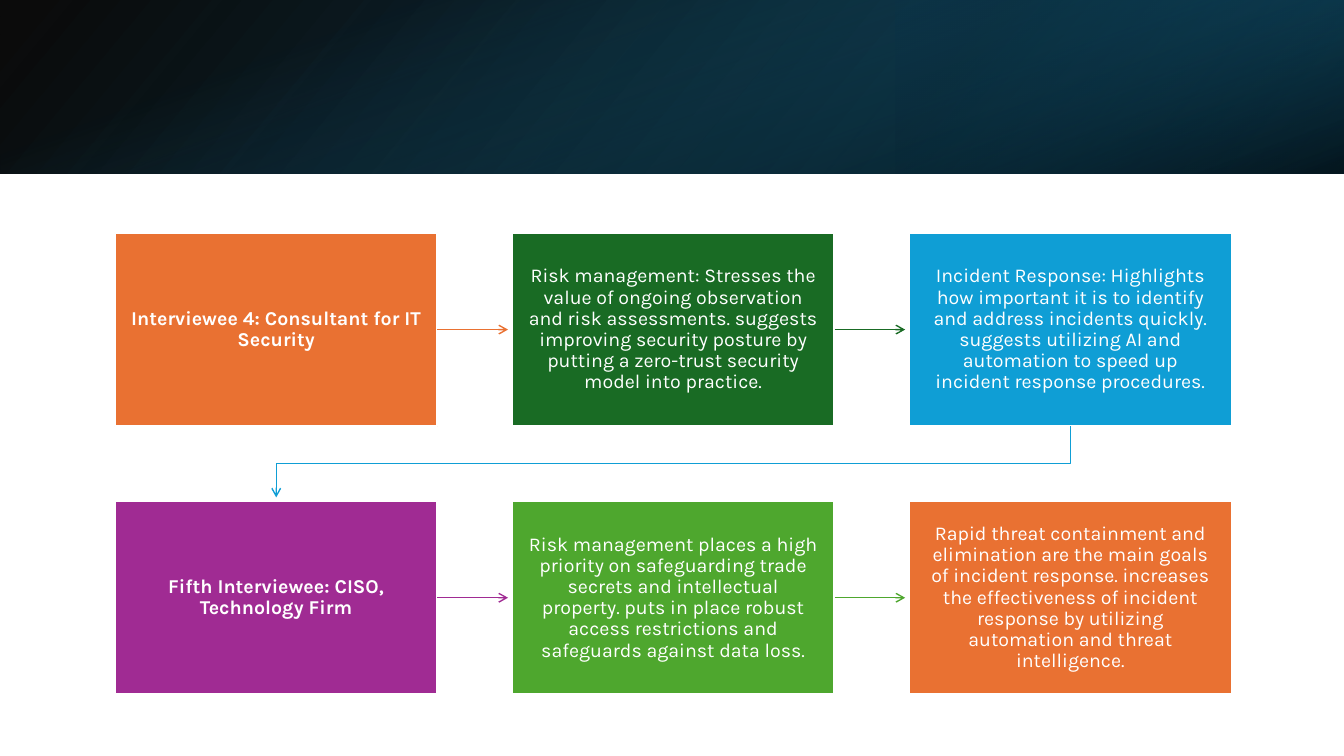
from pptx import Presentation
from pptx.dml.color import RGBColor
from pptx.enum.shapes import MSO_CONNECTOR, MSO_SHAPE
from pptx.enum.text import MSO_ANCHOR, PP_ALIGN
from pptx.oxml.ns import qn
from pptx.oxml.xmlchemy import OxmlElement
from pptx.util import Pt

RECTANGLE = MSO_SHAPE.RECTANGLE
STRAIGHT = MSO_CONNECTOR.STRAIGHT
CENTER = PP_ALIGN.CENTER
MIDDLE = MSO_ANCHOR.MIDDLE
RIGHT_SIDE = 3

PAGE_W, PAGE_H, HEADER_H = 960, 540, 124
BOX_W, BOX_H = 230.4, 138.24
LEFT, TOP = 82.08, 166.32
COLUMN_STEP, ROW_STEP = 283.68, 191.52
ARROW_LENGTH = 50.4
FONT = "Karla"

# Each row: fill colour and text of its boxes; the first box is the bold lead
ROWS = [
    [
        ("E97132", "Interviewee 4: Consultant for IT Security"),
        ("196B24", "Risk management: Stresses the value of ongoing observation and "
                   "risk assessments. suggests improving security posture by putting "
                   "a zero-trust security model into practice."),
        ("0F9ED5", "Incident Response: Highlights how important it is to identify "
                   "and address incidents quickly. suggests utilizing AI and "
                   "automation to speed up incident response procedures."),
    ],
    [
        ("A02B93", "Fifth Interviewee: CISO, Technology Firm"),
        ("4EA72E", "Risk management places a high priority on safeguarding trade "
                   "secrets and intellectual property. puts in place robust access "
                   "restrictions and safeguards against data loss."),
        ("E97132", "Rapid threat containment and elimination are the main goals of "
                   "incident response. increases the effectiveness of incident "
                   "response by utilizing automation and threat intelligence."),
    ],
]

# Header layers: left, top, width, height, rotation, flipped, angle,
# stops (position %, colour, opacity %)
HEADER_LAYERS = [
    (0, 0, PAGE_W, HEADER_H, 0, True, 140,
     [(0, "000000", 96), (100, "104862", 100)]),
    (640, 0, 320, HEADER_H, 180, True, 320,
     [(19, "0B3041", 68), (100, "156082", 79)]),
    ((PAGE_W - HEADER_H) / 2, (HEADER_H - PAGE_W) / 2, HEADER_H, PAGE_W, 90, False, 340,
     [(23, "156082", 0), (99, "000000", 74)]),
]


def color(hex_string):
    return RGBColor.from_string(hex_string)


def add_gradient_band(page, left, top, width, height, rotation, flipped, angle, stops):
    band = page.shapes.add_shape(RECTANGLE, Pt(left), Pt(top), Pt(width), Pt(height))
    band.shadow.inherit = False
    band.line.fill.background()
    band.rotation = rotation
    if flipped:
        band.element.spPr.find(qn("a:xfrm")).set("flipH", "1")
    band.fill.gradient()
    band.fill.gradient_angle = 360 - angle
    for stop, (position, hex_string, opacity) in zip(band.fill.gradient_stops, stops):
        stop.position = position / 100
        stop.color.rgb = color(hex_string)
    # Opacity of each stop
    for tint, (_, _, opacity) in zip(band.element.spPr.iter(qn("a:srgbClr")), stops):
        alpha = OxmlElement("a:alpha")
        alpha.set("val", str(opacity * 1000))
        tint.append(alpha)


def add_box(page, left, top, fill, text, bold):
    box = page.shapes.add_shape(RECTANGLE, Pt(left), Pt(top), Pt(BOX_W), Pt(BOX_H))
    box.shadow.inherit = False
    box.fill.solid()
    box.fill.fore_color.rgb = color(fill)
    box.line.color.rgb = color("FFFFFF")
    box.line.width = Pt(1.5)
    frame = box.text_frame
    frame.word_wrap = True
    frame.vertical_anchor = MIDDLE
    frame.margin_left = frame.margin_right = Pt(11.5)
    frame.margin_top = frame.margin_bottom = Pt(11.5)
    frame.text = text
    para = frame.paragraphs[0]
    para.alignment = CENTER
    para.line_spacing = 0.9
    font = para.runs[0].font
    font.name, font.size, font.bold = FONT, Pt(14), bold
    font.color.rgb = color("FFFFFF")
    return box


def style_arrow(arrow, hex_string):
    arrow.line.color.rgb = color(hex_string)
    arrow.line.width = Pt(1)
    head = OxmlElement("a:tailEnd")
    head.set("type", "arrow")
    arrow.line._get_or_add_ln().append(head)


def add_side_arrow(page, box, hex_string):
    start_x, middle_y = box.left + box.width, box.top + box.height // 2
    arrow = page.shapes.add_connector(
        STRAIGHT, start_x, middle_y, start_x + Pt(ARROW_LENGTH), middle_y)
    arrow.begin_connect(box, RIGHT_SIDE)
    arrow.element.spPr.append(OxmlElement("a:effectLst"))
    style_arrow(arrow, hex_string)


def add_return_arrow(page, source, target, hex_string):
    start_x, start_y = source.left + source.width // 2, source.top + source.height
    end_x, end_y = target.left + target.width // 2, target.top - Pt(2.5)
    turn_y = (start_y + target.top) // 2
    builder = page.shapes.build_freeform(start_x, start_y)
    builder.add_line_segments(
        [(start_x, turn_y), (end_x, turn_y), (end_x, end_y)], close=False)
    arrow = builder.convert_to_shape()
    arrow.shadow.inherit = False
    arrow.fill.background()
    style_arrow(arrow, hex_string)


def main():
    deck = Presentation()
    deck.slide_width, deck.slide_height = Pt(PAGE_W), Pt(PAGE_H)
    page = deck.slides.add_slide(deck.slide_layouts[6])

    # Header band
    for layer in HEADER_LAYERS:
        add_gradient_band(page, *layer)

    # Grid of boxes, with arrows along each row
    grid = []
    for row, cells in enumerate(ROWS):
        boxes = [
            add_box(page, LEFT + column * COLUMN_STEP, TOP + row * ROW_STEP,
                    fill, text, column == 0)
            for column, (fill, text) in enumerate(cells)
        ]
        for box, (fill, _) in zip(boxes[:-1], cells):
            add_side_arrow(page, box, fill)
        grid.append(boxes)

    # Arrow from the end of the first row to the start of the second
    add_return_arrow(page, grid[0][-1], grid[1][0], ROWS[0][-1][0])

    deck.save("out.pptx")


if __name__ == "__main__":
    main()
